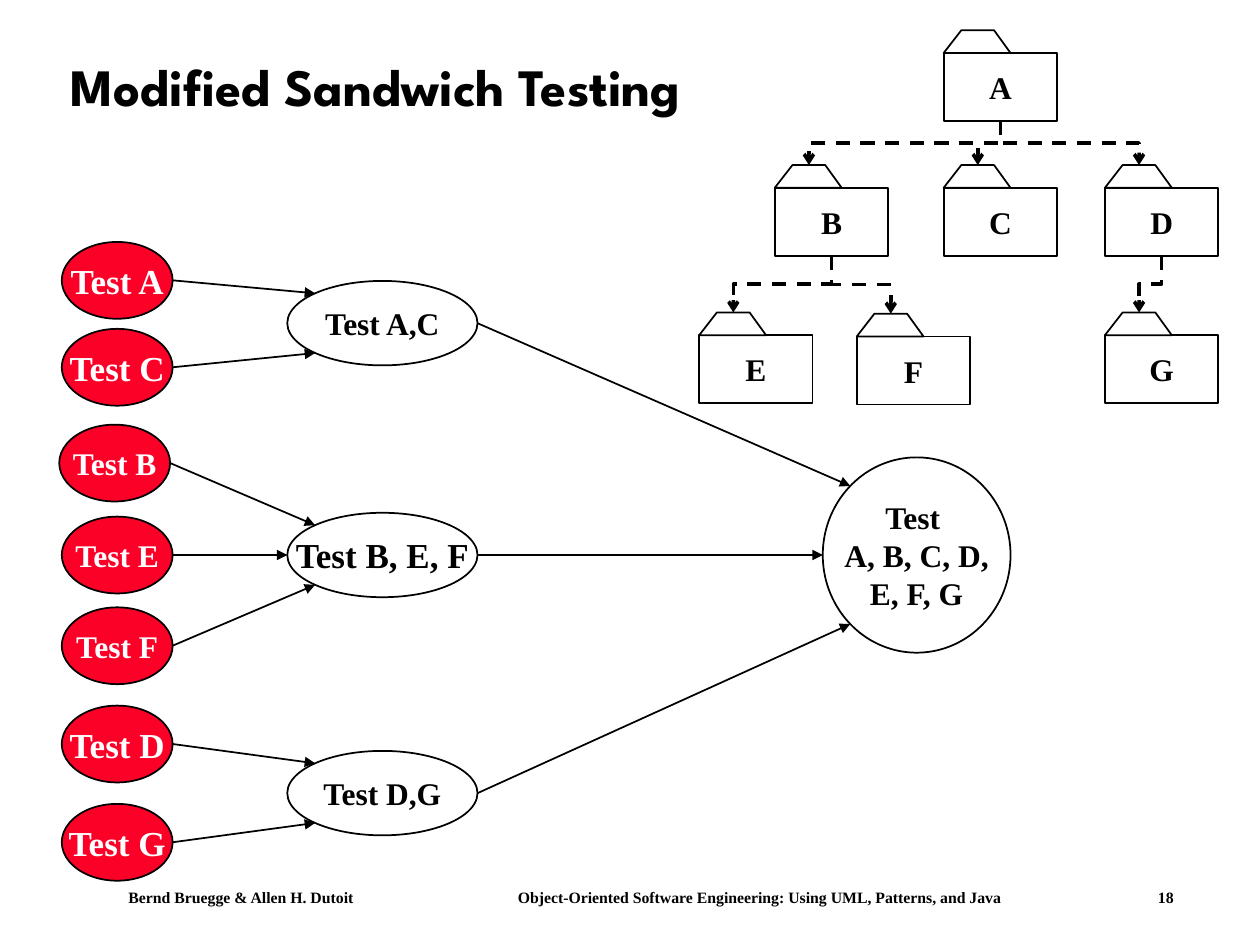
import math
from dataclasses import dataclass

import pptx
import pptx.dml.color
import pptx.enum.dml
import pptx.enum.shapes
import pptx.enum.text
import pptx.oxml
import pptx.oxml.ns
import pptx.util
from pptx.util import Inches

RGB = pptx.dml.color.RGBColor.from_string
SHAPE = pptx.enum.shapes.MSO_SHAPE
CONNECTOR = pptx.enum.shapes.MSO_CONNECTOR
ALIGN = pptx.enum.text.PP_ALIGN
ANCHOR = pptx.enum.text.MSO_ANCHOR
DASH = pptx.enum.dml.MSO_LINE.DASH


@dataclass(frozen=True)
class Theme:
    ink: str = "000000"
    paper: str = "FFFFFF"
    unit_red: str = "FC0128"
    title_font: str = "League Spartan"
    body_font: str = "Times New Roman"
    title_size: float = 30
    large_size: float = 20
    label_size: float = 18
    footer_size: float = 9
    outline: float = 1
    dependency: float = 2


def set_all(target, values):
    for name, value in values.items():
        setattr(target, name, value)


def drawing_element(tag, **attributes):
    element = pptx.oxml.parse_xml(f"<a:{tag} {pptx.oxml.ns.nsdecls('a')}/>")
    for name, value in attributes.items():
        element.set(name, str(value))
    return element


class SlideBuilder:
    folder_width, folder_height, tab_height = 0.9, 0.54, 0.18
    tab_outline = ((0.14, -0.18), (0.4, -0.18), (0.53, 0))
    tab_middle = 0.27

    def __init__(self, slide, theme):
        self.shapes = slide.shapes
        self.theme = theme

    def fill_text(self, frame, text, size, color, font, align, spacing=None, tabs=()):
        for index, line in enumerate(text.split("\n")):
            paragraph = frame.paragraphs[0] if index == 0 else frame.add_paragraph()
            paragraph.text = line
            set_all(paragraph, {"alignment": align, "line_spacing": spacing})
            if tabs:
                tab_list = drawing_element("tabLst")
                for stop in tabs:
                    tab_list.append(drawing_element("tab", pos=Inches(stop), algn="l"))
                paragraph._p.get_or_add_pPr().append(tab_list)
            for run in paragraph.runs:
                set_all(run.font, {"size": pptx.util.Pt(size), "name": font, "bold": True})
                run.font.color.rgb = RGB(color)

    def text(self, box, text, size, font, anchor, left_inset=0.1, **style):
        frame = self.shapes.add_textbox(*map(Inches, box)).text_frame
        set_all(frame, {"word_wrap": True, "vertical_anchor": anchor,
                        "margin_left": Inches(left_inset)})
        self.fill_text(frame, text, size, self.theme.ink, font, ALIGN.LEFT, **style)

    def stroke(self, line, width):
        line.color.rgb = RGB(self.theme.ink)
        line.width = pptx.util.Pt(width)

    def paint(self, shape, fill):
        shape.shadow.inherit = False
        if fill:
            shape.fill.solid()
            shape.fill.fore_color.rgb = RGB(fill)
        else:
            shape.fill.background()
        self.stroke(shape.line, self.theme.outline)

    def labelled(self, kind, box, text, size, fill, color):
        shape = self.shapes.add_shape(kind, *map(Inches, box))
        self.paint(shape, fill)
        set_all(shape.text_frame, {"word_wrap": False, "vertical_anchor": ANCHOR.MIDDLE})
        self.fill_text(shape.text_frame, text, size, color, self.theme.body_font, ALIGN.CENTER)

    def ellipse(self, box, text, size, fill=None, color=None):
        self.labelled(SHAPE.OVAL, box, text, size, fill, color or self.theme.ink)

    def folder(self, name, left, top):
        theme = self.theme
        self.labelled(SHAPE.RECTANGLE, (left, top, self.folder_width, self.folder_height),
                      name, theme.label_size, theme.paper, theme.ink)
        tab = self.shapes.build_freeform(Inches(left), Inches(top), scale=1.0)
        tab.add_line_segments([(Inches(left + dx), Inches(top + dy))
                               for dx, dy in self.tab_outline], close=True)
        self.paint(tab.convert_to_shape(), theme.paper)

    def connector(self, kind, start, end, width, head, dash=None):
        link = self.shapes.add_connector(kind, *map(Inches, (*start, *end)))
        self.stroke(link.line, width)
        link.line.dash_style = dash
        link.line._get_or_add_ln().append(drawing_element("tailEnd", type=head))
        link._element.spPr.append(drawing_element("effectLst"))
        return link

    def arrow(self, start, end):
        self.connector(CONNECTOR.STRAIGHT, start, end, self.theme.outline, "triangle")

    def dependency(self, parent, child):
        """Elbow that leaves the parent downwards and enters the child's tab."""
        x1, y1 = parent[0] + self.folder_width / 2, parent[1] + self.folder_height
        x2, y2 = child[0] + self.tab_middle, child[1] - self.tab_height
        mid_x, mid_y = (x1 + x2) / 2, (y1 + y2) / 2
        half_w, half_h = (y2 - y1) / 2, abs(x2 - x1) / 2
        link = self.connector(CONNECTOR.ELBOW, (mid_x - half_w, mid_y - half_h),
                              (mid_x + half_w, mid_y + half_h),
                              self.theme.dependency, "arrow", DASH)
        frame = link._element.spPr.xfrm
        turn = {"rot": "16200000", "flipH": "1"} if x2 > x1 else {"rot": "5400000"}
        for name, value in turn.items():
            frame.set(name, value)


def right_side(box):
    left, top, width, height = box
    return left + width, top + height / 2


def entry(box, side):
    """Point on the ellipse's left half: -1 upper, 0 middle, 1 lower."""
    left, top, width, height = box
    angle = side * math.pi / 4
    return (left + width / 2 * (1 - math.cos(angle)),
            top + height / 2 * (1 + math.sin(angle)))


def main():
    theme = Theme()
    deck = pptx.Presentation()
    set_all(deck, {"slide_width": Inches(10), "slide_height": Inches(7.5)})
    page = SlideBuilder(deck.slides.add_slide(deck.slide_layouts[6]), theme)

    # Footer and title
    page.text((0.58, 7, 9.17, 0.25),
              "Bernd Bruegge & Allen H. Dutoit\tObject-Oriented Software Engineering: "
              "Using UML, Patterns, and Java\t18",
              theme.footer_size, theme.body_font, ANCHOR.TOP, left_inset=0.44,
              tabs=(3.09, 8.17))
    page.text((0.46, 0.24, 8.92, 0.94), "Modified Sandwich Testing",
              theme.title_size, theme.title_font, ANCHOR.MIDDLE, spacing=0.9)

    # Tests: units merge into pairs or triples, then into the full system
    system = (6.53, 3.63, 1.49, 1.55)
    large, normal = theme.large_size, theme.label_size
    # label, top, size, side of the system entered, unit size, units (name, left, top, side)
    groups = [
        ("Test A,C", 2.23, normal, -1, large,
         [("A", 0.49, 1.92, -1), ("C", 0.49, 2.61, 1)]),
        ("Test B, E, F", 4.07, large, 0, normal,
         [("B", 0.47, 3.37, -1), ("E", 0.49, 4.1, 0), ("F", 0.49, 4.82, 1)]),
        ("Test D,G", 5.96, normal, 1, large,
         [("D", 0.49, 5.6, -1), ("G", 0.49, 6.38, 1)]),
    ]
    page.ellipse(system, "Test \nA, B, C, D,\nE, F, G", normal)
    for label, top, size, system_side, unit_size, units in groups:
        group = (2.28, top, 1.51, 0.67)
        page.ellipse(group, label, size)
        page.arrow(right_side(group), entry(system, system_side))
        for name, left, unit_top, side in units:
            unit = (left, unit_top, 0.88, 0.61)
            page.ellipse(unit, f"Test {name}", unit_size, theme.unit_red, theme.paper)
            page.arrow(right_side(unit), entry(group, side))

    # Package hierarchy
    packages = {"A": (7.49, 0.42), "B": (6.15, 1.49), "C": (7.49, 1.49), "D": (8.77, 1.49),
                "E": (5.55, 2.66), "F": (6.8, 2.67), "G": (8.77, 2.66)}
    for parent, children in {"A": "BCD", "B": "EF", "D": "G"}.items():
        for child in children:
            page.dependency(packages[parent], packages[child])
    for name, corner in packages.items():
        page.folder(name, *corner)

    deck.save("out.pptx")


if __name__ == "__main__":
    main()
